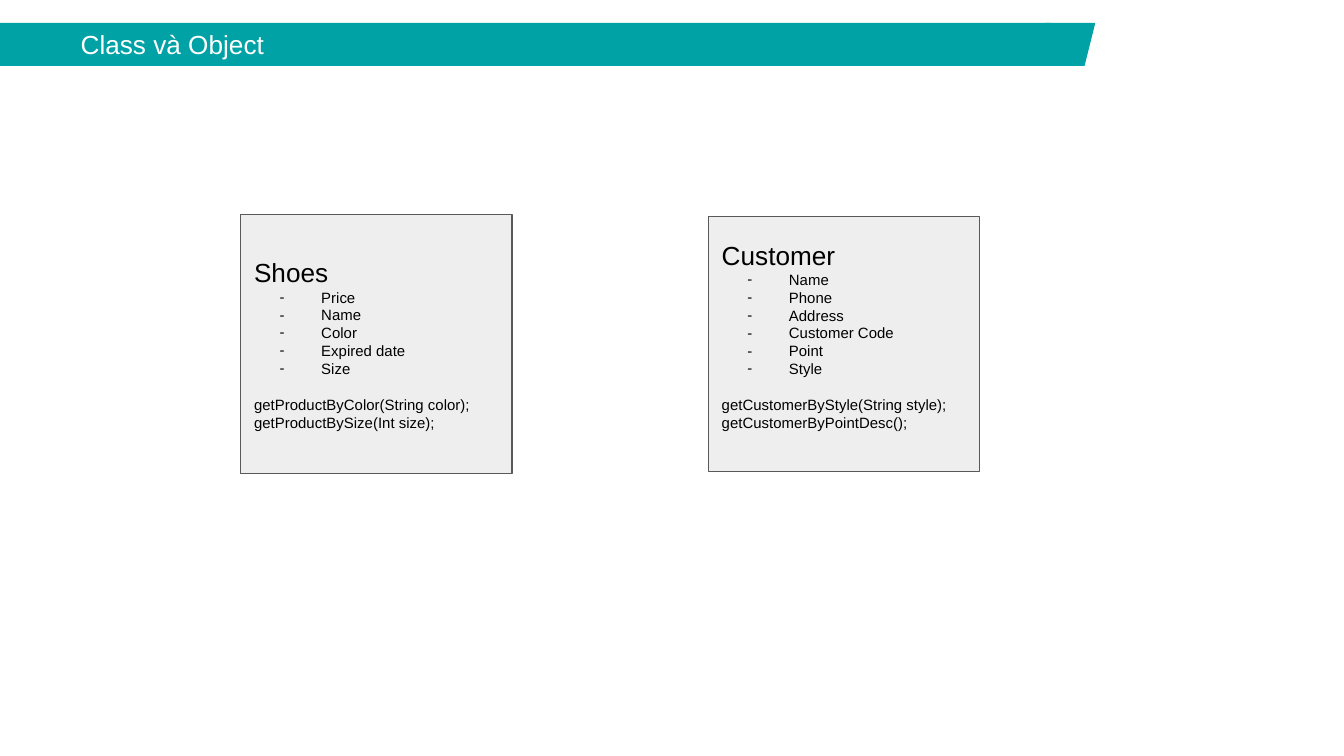
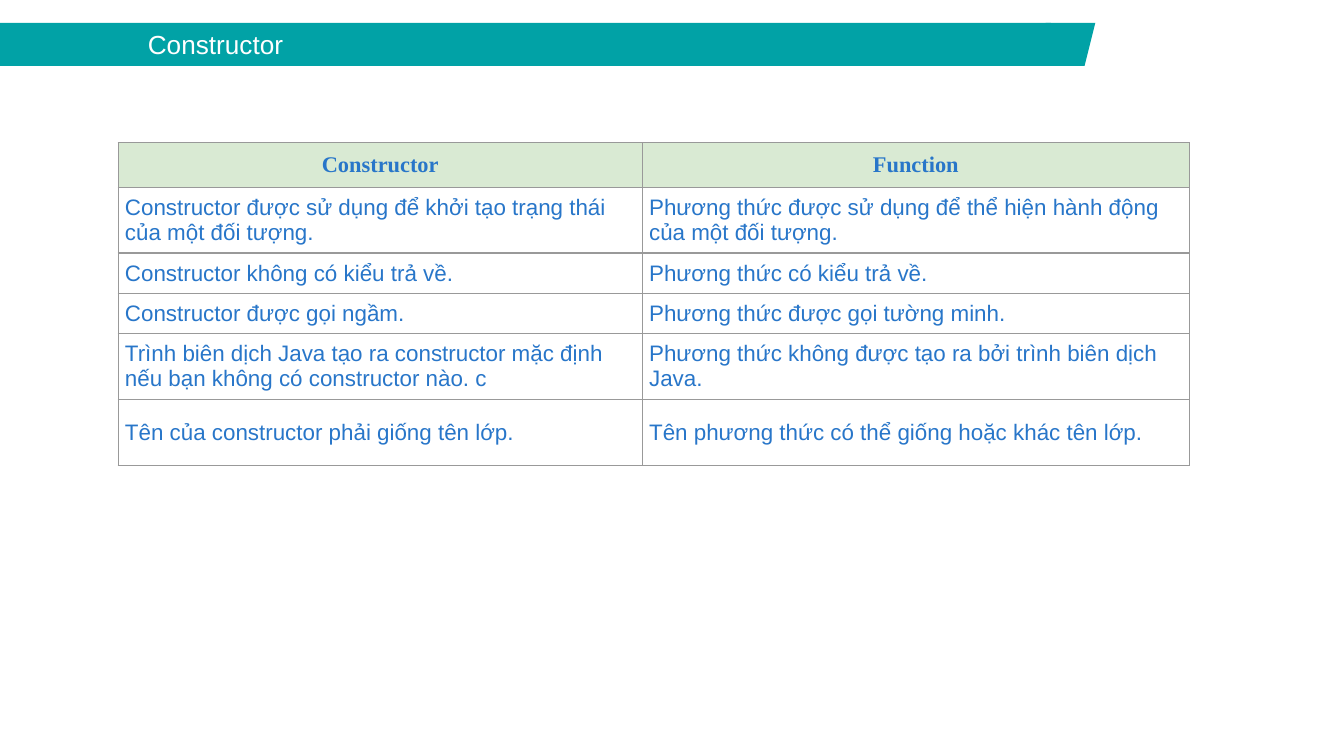
import pptx
import pptx.util
import pptx.dml.color
import pptx.enum.shapes
import pptx.enum.text
import pptx.oxml
import pptx.oxml.ns

WIDE, HIGH = pptx.util.Inches(10), pptx.util.Inches(5.625)
TEAL, WHITE, BLACK = "01A2A6", "FFFFFF", "000000"
PALE, GRAY = "EEEEEE", "595959"
BLUE, GREEN, RULE = "2876C9", "D9EAD3", "999999"
SANS, SERIF = "Arial", "Times New Roman"
BAND_TOP, BAND_HIGH = 3.02, 5.7
CARD_WIDE, CARD_MID = 20.2, 45.5
LINE = 9.6

CARDS = [
    ("Shoes", 17.9, 34.3, 0.1,
     ["Price", "Name", "Color", "Expired date", "Size"],
     ["getProductByColor(String color);", "getProductBySize(Int size);"]),
    ("Customer", 52.7, 33.8, 0.23,
     ["Name", "Phone", "Address", "Customer Code", "Point", "Style"],
     ["getCustomerByStyle(String style);", "getCustomerByPointDesc();"]),
]
COLS = [39, 40.7]
ROWS = [
    (5.87, "Constructor", "Function"),
    (8.71, "Constructor được sử dụng để khởi tạo trạng thái của một đối tượng.",
     "Phương thức được sử dụng để thể hiện hành động của một đối tượng."),
    (5.33, "Constructor không có kiểu trả về.", "Phương thức có kiểu trả về."),
    (5.33, "Constructor được gọi ngầm.", "Phương thức được gọi tường minh."),
    (8.71, "Trình biên dịch Java tạo ra constructor mặc định nếu bạn không có constructor nào. c",
     "Phương thức không được tạo ra bởi trình biên dịch Java."),
    (8.71, "Tên của constructor phải giống tên lớp.",
     "Tên phương thức có thể giống hoặc khác tên lớp."),
]


def tint(code):
    """Turn a hex string into a colour."""
    return pptx.dml.color.RGBColor.from_string(code)


def across(share):
    """Give a percentage of the slide's width."""
    return round(WIDE * share / 100)


def down(share):
    """Give a percentage of the slide's height."""
    return round(HIGH * share / 100)


def paint(item, code):
    """Fill a shape or cell with one colour."""
    item.fill.solid()
    item.fill.fore_color.rgb = tint(code)


def place(shape, left, top, width, height):
    """Set a shape's place in percentages of the slide."""
    shape.left, shape.top = across(left), down(top)
    shape.width, shape.height = across(width), down(height)


def inset(item, size, foot=None):
    """Centre text vertically and set its margins in inches."""
    gap = pptx.util.Inches(size)
    item.margin_left = item.margin_right = item.margin_top = gap
    item.margin_bottom = pptx.util.Inches(foot or size)
    item.vertical_anchor = pptx.enum.text.MSO_ANCHOR.MIDDLE


def mark(props, tag, **values):
    """Append one bullet property to paragraph properties."""
    node = pptx.oxml.parse_xml(f"<a:{tag} {pptx.oxml.ns.nsdecls('a')}/>")
    for key, value in values.items():
        node.set(key, value)
    props.append(node)
    return node


def write(frame, text, size=8, font=SANS, color=BLACK, bold=False, align="LEFT",
          margin=0, indent=0, before=0, after=0, dash=False):
    """Write one paragraph of formatted text."""
    para = frame.paragraphs[0]
    if para.runs:
        para = frame.add_paragraph()
    para.alignment = getattr(pptx.enum.text.PP_ALIGN, align)
    para.space_before = pptx.util.Pt(before)
    para.space_after = pptx.util.Pt(after)
    run = para.add_run()
    run.text = text
    run.font.size, run.font.name = pptx.util.Pt(size), font
    run.font.bold, run.font.color.rgb = bold, tint(color)
    props = para._p.get_or_add_pPr()
    props.set("marL", str(pptx.util.Inches(margin)))
    props.set("indent", str(pptx.util.Inches(indent)))
    if dash:
        mark(props, "buFont", typeface=SANS)
        mark(props, "buChar", char="-")
    else:
        mark(props, "buNone")


def setup(shape, foot=None):
    """Prepare a placeholder's text frame."""
    frame = shape.text_frame
    frame.auto_size = pptx.enum.text.MSO_AUTO_SIZE.NONE
    frame.word_wrap = True
    inset(frame, 0.1, foot)
    return frame


def start(deck, layout, title, indent):
    """Add a slide with the teal title band and its slanted end."""
    slide = deck.slides.add_slide(deck.slide_layouts.get_by_name(layout))
    band = slide.shapes.title
    place(band, 0, BAND_TOP, 78.2, BAND_HIGH)
    paint(band, TEAL)
    write(setup(band), title, size=14, color=WHITE, indent=indent)
    kind = pptx.enum.shapes.MSO_SHAPE.PARALLELOGRAM
    end = slide.shapes.add_shape(kind, 0, 0, 0, 0)
    place(end, 77, BAND_TOP, 4.5, BAND_HIGH)
    end.adjustments[0] = 0.25
    end.shadow.inherit = False
    end.line.fill.background()
    paint(end, TEAL)
    return slide


def card(shape, name, left, height, foot, fields, calls):
    """Draw a class card with its fields and methods."""
    place(shape, left, CARD_MID - height / 2, CARD_WIDE, height)
    paint(shape, PALE)
    shape.line.color.rgb = tint(GRAY)
    shape.line.width = pptx.util.Pt(0.75)
    frame = setup(shape, foot)
    write(frame, name, size=14)
    for field in fields:
        write(frame, field, margin=0.5, indent=-0.31, dash=True)
    for count, call in enumerate(calls):
        write(frame, call, before=0 if count else LINE)


def edge(cell):
    """Draw thin lines round a cell."""
    props = cell._tc.get_or_add_tcPr()
    for side in "LRTB":
        props.append(pptx.oxml.parse_xml(
            f'<a:ln{side} {pptx.oxml.ns.nsdecls("a")} w="{pptx.util.Pt(0.75)}">'
            f'<a:solidFill><a:srgbClr val="{RULE}"/></a:solidFill></a:ln{side}>'))


def grid(slide, left, top):
    """Add the table that compares constructors and functions."""
    high = sum(row[0] for row in ROWS)
    table = slide.shapes.add_table(
        len(ROWS), len(COLS), across(left), down(top),
        across(sum(COLS)), down(high)).table
    table.horz_banding = False
    for col, width in zip(table.columns, COLS):
        col.width = across(width)
    for r, (height, *texts) in enumerate(ROWS):
        table.rows[r].height = down(height)
        look = {} if r else {"font": SERIF, "bold": True, "align": "CENTER"}
        for c, text in enumerate(texts):
            cell = table.cell(r, c)
            edge(cell)
            paint(cell, WHITE if r else GREEN)
            inset(cell, 0.05)
            write(cell.text_frame, text, size=12, color=BLUE, after=11, **look)


def main():
    """Build both slides and save the deck."""
    deck = pptx.Presentation()
    deck.slide_width, deck.slide_height = WIDE, HIGH
    slide = start(deck, "Two Content", "Class và Object", 0.5)
    for slot, data in zip(list(slide.placeholders)[1:], CARDS):
        card(slot, *data)
    slide = start(deck, "Title Only", "Constructor", 1)
    grid(slide, 8.8, 18.9)
    deck.save("out.pptx")


if __name__ == "__main__":
    main()
